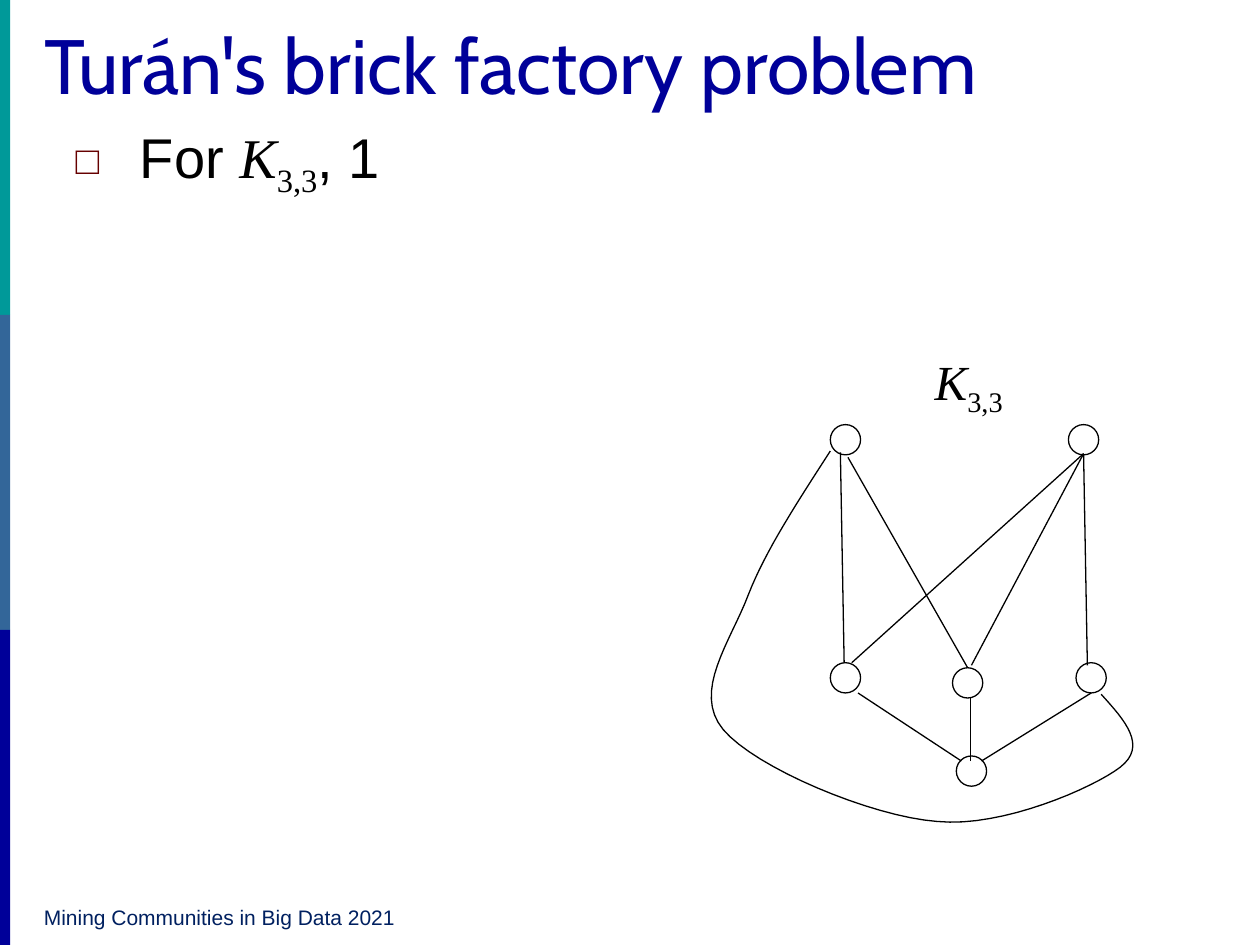
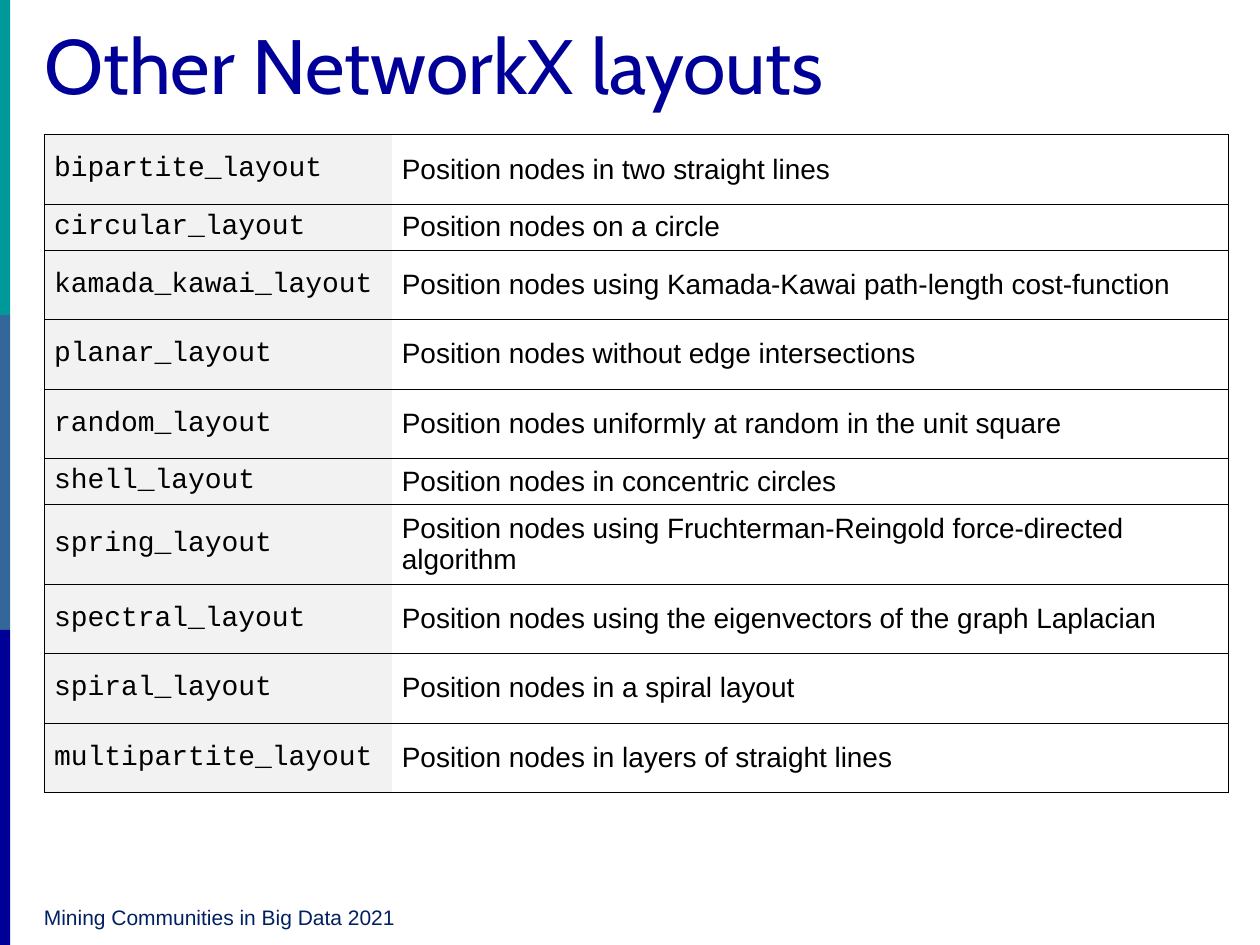
from lxml.etree import SubElement
from pptx import Presentation
from pptx.dml.color import RGBColor
from pptx.enum.shapes import MSO_CONNECTOR, MSO_SHAPE
from pptx.enum.text import MSO_ANCHOR, MSO_AUTO_SIZE, PP_ALIGN
from pptx.oxml.ns import qn
from pptx.util import Inches, Pt

TEAL = RGBColor(0x00, 0x99, 0x99)
STEEL = RGBColor(0x33, 0x66, 0x99)
BLUE = RGBColor(0x00, 0x00, 0x99)
NAVY = RGBColor(0x00, 0x20, 0x60)
BLACK = RGBColor(0x00, 0x00, 0x00)
WHITE = RGBColor(0xFF, 0xFF, 0xFF)
GREY = RGBColor(0xF2, 0xF2, 0xF2)
MAROON = RGBColor(0x66, 0x00, 0x00)

SANS, SERIF, MONO, HEAD = "Arial", "Times New Roman", "Courier New", "Cabin"

NODE = 0.24
NODES = [(0.99, 0.67), (2.88, 0.67), (0.99, 2.56), (1.96, 2.6),
         (2.94, 2.56), (1.99, 3.3)]
EDGES = [((1.13, 0.93), (2.08, 2.6)), ((2.03, 3.34), (1.21, 2.8)),
         ((3, 0.9), (1.16, 2.56)), ((2.19, 3.34), (3.06, 2.8)),
         ((1.07, 0.89), (1.1, 2.56)), ((2.1, 3.34), (2.1, 2.84)),
         ((3, 0.9), (2.11, 2.58)), ((3, 0.91), (3.03, 2.58))]
# The start, then three Bézier points for each part of the outer edge
CURVE = [(0.99, 0.88),
         (0.74, 1.27), (0.48, 1.66), (0.34, 2.02),
         (0.2, 2.39), (-0.11, 2.79), (0.14, 3.09),
         (0.39, 3.39), (1.31, 3.78), (1.84, 3.82),
         (2.36, 3.87), (3.08, 3.55), (3.29, 3.39),
         (3.51, 3.22), (3.33, 3.02), (3.14, 2.81)]

TALL, SHORT, DOUBLE = 0.55, 0.35, 0.61
LAYOUTS = [
    ("bipartite_layout", "Position nodes in two straight lines", TALL),
    ("circular_layout", "Position nodes on a circle", SHORT),
    ("kamada_kawai_layout",
     "Position nodes using Kamada-Kawai path-length cost-function", TALL),
    ("planar_layout", "Position nodes without edge intersections", TALL),
    ("random_layout",
     "Position nodes uniformly at random in the unit square", TALL),
    ("shell_layout", "Position nodes in concentric circles", SHORT),
    ("spring_layout",
     "Position nodes using Fruchterman-Reingold force-directed algorithm",
     DOUBLE),
    ("spectral_layout",
     "Position nodes using the eigenvectors of the graph Laplacian", TALL),
    ("spiral_layout", "Position nodes in a spiral layout", TALL),
    ("multipartite_layout",
     "Position nodes in layers of straight lines", TALL),
]


def add_run(para, text, size, font=SANS, color=BLACK, italic=False, sub=False):
    run = para.add_run()
    run.text = text
    run.font.size = Pt(size)
    run.font.name = font
    run.font.color.rgb = color
    run.font.italic = italic
    if sub:
        run.font._element.set("baseline", "-25000")


def add_graph_name(para, size):
    add_run(para, "K", size, SERIF, italic=True)
    add_run(para, "3,3", size, SERIF, sub=True)


def place(shape, left, top, width, height):
    shape.left, shape.top = Inches(left), Inches(top)
    shape.width, shape.height = Inches(width), Inches(height)


def ink(shape):
    shape.line.color.rgb = BLACK
    shape.line.width = Pt(0.75)


def add_bands(slide):
    for i, color in enumerate((TEAL, STEEL, BLUE)):
        band = slide.shapes.add_shape(
            MSO_SHAPE.RECTANGLE, 0, Inches(2.5 * i), Inches(0.08), Inches(2.5))
        band.shadow.inherit = False
        band.fill.solid()
        band.fill.fore_color.rgb = color
        band.line.fill.background()


def add_footer(slide):
    box = slide.shapes.add_textbox(
        Inches(0.25), Inches(7.13), Inches(7.35), Inches(0.3))
    box.text_frame.word_wrap = True
    add_run(box.text_frame.paragraphs[0],
            "Mining Communities in Big Data 2021", 12, color=NAVY)


def add_slide(prs, layout, title):
    slide = prs.slides.add_slide(prs.slide_layouts.get_by_name(layout))
    add_bands(slide)
    add_footer(slide)
    head = slide.shapes.title
    place(head, 0.25, 0.17, 9.5, 0.75)
    frame = head.text_frame
    frame.auto_size = MSO_AUTO_SIZE.NONE
    frame.vertical_anchor = MSO_ANCHOR.BOTTOM
    para = frame.paragraphs[0]
    para.alignment = PP_ALIGN.LEFT
    add_run(para, title, 44, HEAD, BLUE)
    return slide


def set_bullet(para):
    para.space_before = Pt(8)
    props = para._p.get_or_add_pPr()
    props.set("marL", str(Inches(0.51)))
    props.set("indent", str(-Inches(0.51)))
    color = SubElement(props, qn("a:buClr"))
    SubElement(color, qn("a:srgbClr"), val=str(MAROON))
    SubElement(props, qn("a:buSzPct"), val="70000")
    SubElement(props, qn("a:buFont"), typeface=SANS)
    SubElement(props, qn("a:buChar"), char="□")


def add_list(slide, left, top, width, height):
    body = slide.placeholders[1]
    place(body, left, top, width, height)
    body.text_frame.auto_size = MSO_AUTO_SIZE.NONE
    para = body.text_frame.paragraphs[0]
    set_bullet(para)
    add_run(para, "For ", 32)
    add_graph_name(para, 32)
    add_run(para, ", 1", 32)


def trace(points, steps=16):
    """Return points along a chain of cubic Bézier curves."""
    track = []
    for i in range(0, len(points) - 1, 3):
        for step in range(1, steps + 1):
            t = step / steps
            u = 1 - t
            parts = (u ** 3, 3 * u * u * t, 3 * u * t * t, t ** 3)
            track.append(tuple(
                sum(w * p[axis] for w, p in zip(parts, points[i:i + 4]))
                for axis in (0, 1)))
    return track


def add_graph(slide, left, top):
    def spot(x, y):
        return Inches(left + x), Inches(top + y)

    shapes = slide.shapes
    for x, y in NODES:
        node = shapes.add_shape(
            MSO_SHAPE.OVAL, *spot(x, y), Inches(NODE), Inches(NODE))
        node.shadow.inherit = False
        node.fill.background()
        ink(node)
    for start, end in EDGES:
        edge = shapes.add_connector(
            MSO_CONNECTOR.STRAIGHT, *spot(*start), *spot(*end))
        SubElement(edge._element.spPr, qn("a:effectLst"))
        ink(edge)

    pen = shapes.build_freeform(*spot(*CURVE[0]))
    pen.add_line_segments([spot(*p) for p in trace(CURVE)], close=False)
    outer = pen.convert_to_shape()
    outer.shadow.inherit = False
    outer.fill.background()
    ink(outer)

    label = shapes.add_textbox(*spot(1.72, 0.04), Inches(0.74), Inches(0.63))
    label.text_frame.word_wrap = False
    add_graph_name(label.text_frame.paragraphs[0], 28)


def set_edges(cell, open_side):
    """Rule all sides of a cell but one."""
    props = cell._tc.get_or_add_tcPr()
    for side in ("lnL", "lnR", "lnT", "lnB"):
        line = SubElement(props, qn("a:" + side), w=str(Pt(0.45)))
        if side == open_side:
            SubElement(line, qn("a:noFill"))
        else:
            fill = SubElement(line, qn("a:solidFill"))
            SubElement(fill, qn("a:srgbClr"), val=str(BLACK))


def fill_cell(cell, text, font, color, open_side):
    set_edges(cell, open_side)
    cell.fill.solid()
    cell.fill.fore_color.rgb = color
    cell.vertical_anchor = MSO_ANCHOR.MIDDLE
    cell.margin_left = cell.margin_right = Inches(0.08)
    cell.margin_top = cell.margin_bottom = Inches(0.05)
    add_run(cell.text_frame.paragraphs[0], text, 16, font)


def add_layouts(slide, left, top, widths):
    height = sum(row[2] for row in LAYOUTS)
    table = slide.shapes.add_table(
        len(LAYOUTS), 2, Inches(left), Inches(top),
        Inches(sum(widths)), Inches(height)).table
    table.first_row = table.horz_banding = False
    for col, width in zip(table.columns, widths):
        col.width = Inches(width)
    for row, (name, about, tall) in zip(table.rows, LAYOUTS):
        row.height = Inches(tall)
        fill_cell(row.cells[0], name, MONO, GREY, "lnR")
        fill_cell(row.cells[1], about, SANS, WHITE, "lnL")


def main():
    prs = Presentation()
    prs.slide_width, prs.slide_height = Inches(10), Inches(7.5)

    slide = add_slide(prs, "Title and Content", "Turán's brick factory problem")
    add_list(slide, 0.5, 0.92, 9, 6.17)
    add_graph(slide, 5.6, 2.7)

    slide = add_slide(prs, "Title Only", "Other NetworkX layouts")
    add_layouts(slide, 0.35, 1.07, (2.76, 6.64))

    prs.save("out.pptx")


if __name__ == "__main__":
    main()
